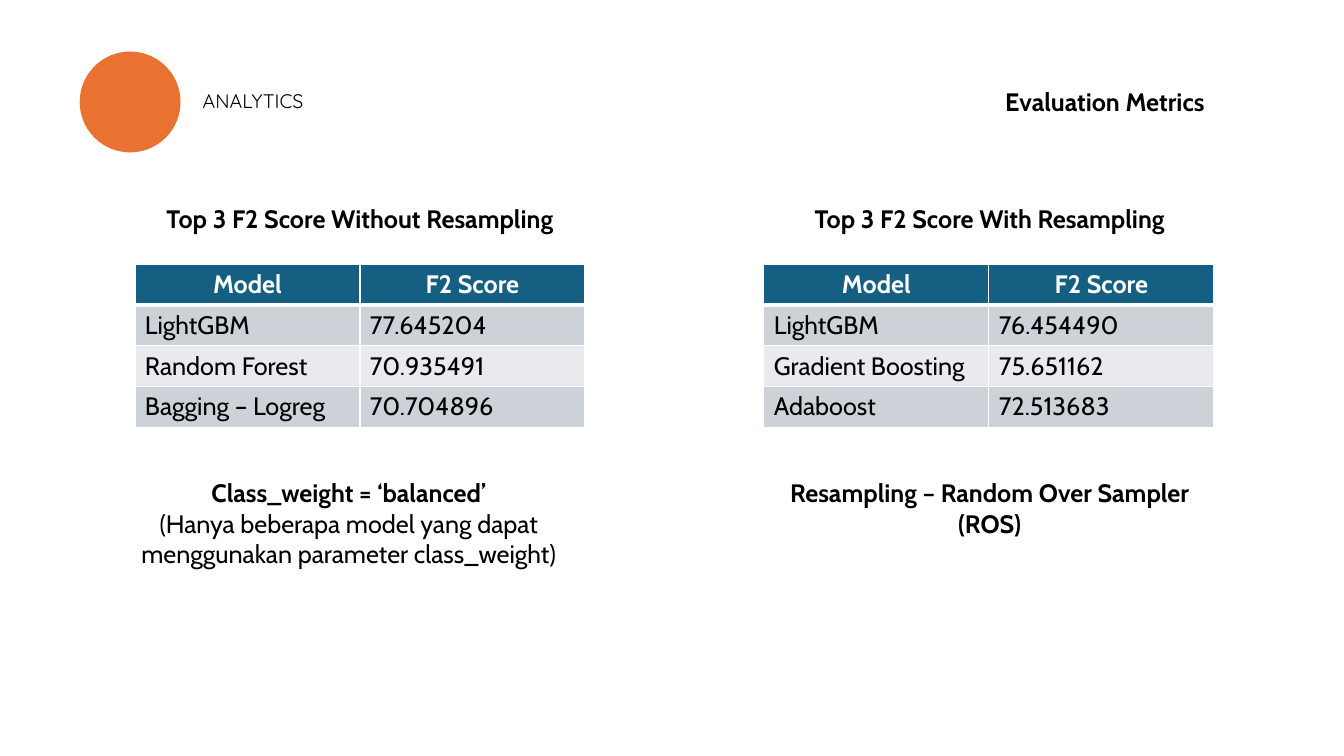
from lxml.etree import SubElement
from pptx import Presentation
from pptx.dml.color import RGBColor
from pptx.enum.shapes import MSO_SHAPE
from pptx.enum.text import MSO_ANCHOR, MSO_AUTO_SIZE, PP_ALIGN
from pptx.oxml.ns import qn
from pptx.util import Cm, Pt

ORANGE = RGBColor(0xE9, 0x71, 0x32)
TEAL = RGBColor(0x15, 0x60, 0x82)
BAND_DARK = RGBColor(0xCC, 0xD2, 0xD8)
BAND_LIGHT = RGBColor(0xE8, 0xEA, 0xED)
BLACK = RGBColor(0, 0, 0)
WHITE = RGBColor(0xFF, 0xFF, 0xFF)

BODY_FONT = "Cabin"
LABEL_FONT = "Quicksand"

TEXT_WIDTH = Cm(11.94)
LINE_HEIGHT = Cm(1.02)
COLUMN_WIDTH = Cm(5.67)
ROW_HEIGHT = Cm(1.03)
HEADER = ("Model", "F2 Score")

# Each panel: heading, note and table positions, then their content
PANELS = [
    {
        "heading_left": Cm(3.1), "note_left": Cm(2.82), "table_left": Cm(3.4),
        "heading": "Top 3 F2 Score Without Resampling",
        "scores": [("LightGBM", "77.645204"),
                   ("Random Forest", "70.935491"),
                   ("Bagging – Logreg", "70.704896")],
        "note": [("Class_weight = ‘balanced’", True),
                 ("(Hanya beberapa model yang dapat menggunakan "
                  "parameter class_weight)", False)],
        "note_height": Cm(2.57),
    },
    {
        "heading_left": Cm(18.97), "note_left": Cm(18.97), "table_left": Cm(19.25),
        "heading": "Top 3 F2 Score With Resampling",
        "scores": [("LightGBM", "76.454490"),
                   ("Gradient Boosting", "75.651162"),
                   ("Adaboost", "72.513683")],
        "note": [("Resampling – Random Over Sampler (ROS)", True)],
        "note_height": Cm(1.8),
    },
]


def add_span(para, text, bold=False, color=BLACK, font=BODY_FONT, size=18):
    span = para.add_run()
    span.text = text
    span.font.name = font
    span.font.size = Pt(size)
    span.font.bold = bold
    span.font.color.rgb = color


def fill_frame(frame, lines, align):
    """Write (text, bold) lines as paragraphs of one alignment."""
    frame.word_wrap = True
    frame.auto_size = MSO_AUTO_SIZE.SHAPE_TO_FIT_TEXT
    frame.vertical_anchor = MSO_ANCHOR.TOP
    for index, (text, bold) in enumerate(lines):
        para = frame.add_paragraph() if index else frame.paragraphs[0]
        para.alignment = align
        add_span(para, text, bold)


def add_text(page, left, top, height, lines):
    box = page.shapes.add_textbox(left, top, TEXT_WIDTH, height)
    fill_frame(box.text_frame, lines, PP_ALIGN.CENTER)


def set_title(page, text):
    title = page.shapes.title
    title.left, title.top = Cm(18.67), Cm(2.06)
    title.width, title.height = TEXT_WIDTH, LINE_HEIGHT
    fill_frame(title.text_frame, [(text, True)], PP_ALIGN.RIGHT)


def add_section_mark(page, text):
    group = page.shapes.add_group_shape()
    top, size = Cm(1.3), Cm(2.54)

    circle = group.shapes.add_shape(MSO_SHAPE.OVAL, Cm(2.01), top, size, size)
    circle.shadow.inherit = False
    circle.fill.solid()
    circle.fill.fore_color.rgb = ORANGE
    circle.line.fill.background()

    label = group.shapes.add_textbox(Cm(5.11), top, Cm(6.02), size)
    frame = label.text_frame
    frame.word_wrap = True
    frame.vertical_anchor = MSO_ANCHOR.MIDDLE
    frame.margin_left = frame.margin_right = 0
    frame.margin_top = frame.margin_bottom = 0
    para = frame.paragraphs[0]
    para.line_spacing = 0.9
    add_span(para, text, font=LABEL_FONT, size=14)


def set_borders(cell, top, bottom):
    """Draw white cell borders; widths are in points."""
    properties = cell._tc.get_or_add_tcPr()
    for side, width in (("L", 1), ("R", 1), ("T", top), ("B", bottom)):
        line = SubElement(properties, qn(f"a:ln{side}"), w=str(Pt(width)))
        paint = SubElement(line, qn("a:solidFill"))
        SubElement(paint, qn("a:srgbClr"), val=str(WHITE))


def add_score_table(page, left, scores):
    rows = [HEADER, *scores]
    table = page.shapes.add_table(
        len(rows), len(HEADER), left, Cm(6.65),
        COLUMN_WIDTH * len(HEADER), ROW_HEIGHT * len(rows)).table
    for column in table.columns:
        column.width = COLUMN_WIDTH
    for r, values in enumerate(rows):
        table.rows[r].height = ROW_HEIGHT
        is_header = r == 0
        band = TEAL if is_header else (BAND_DARK if r % 2 else BAND_LIGHT)
        for c, text in enumerate(values):
            cell = table.cell(r, c)
            set_borders(cell, top=3 if r == 1 else 1, bottom=3 if is_header else 1)
            cell.fill.solid()
            cell.fill.fore_color.rgb = band
            para = cell.text_frame.paragraphs[0]
            para.alignment = PP_ALIGN.CENTER if is_header else PP_ALIGN.LEFT
            add_span(para, text, is_header, WHITE if is_header else BLACK)


def main():
    deck = Presentation()
    deck.slide_width, deck.slide_height = Cm(33.87), Cm(19.05)
    page = deck.slides.add_slide(deck.slide_layouts[5])

    # Top band
    set_title(page, "Evaluation Metrics")
    add_section_mark(page, "ANALYTICS")

    # Comparison panels
    for panel in PANELS:
        add_text(page, panel["heading_left"], Cm(5), LINE_HEIGHT,
                 [(panel["heading"], True)])
        add_score_table(page, panel["table_left"], panel["scores"])
        add_text(page, panel["note_left"], Cm(11.91), panel["note_height"],
                 panel["note"])

    deck.save("out.pptx")


if __name__ == "__main__":
    main()
